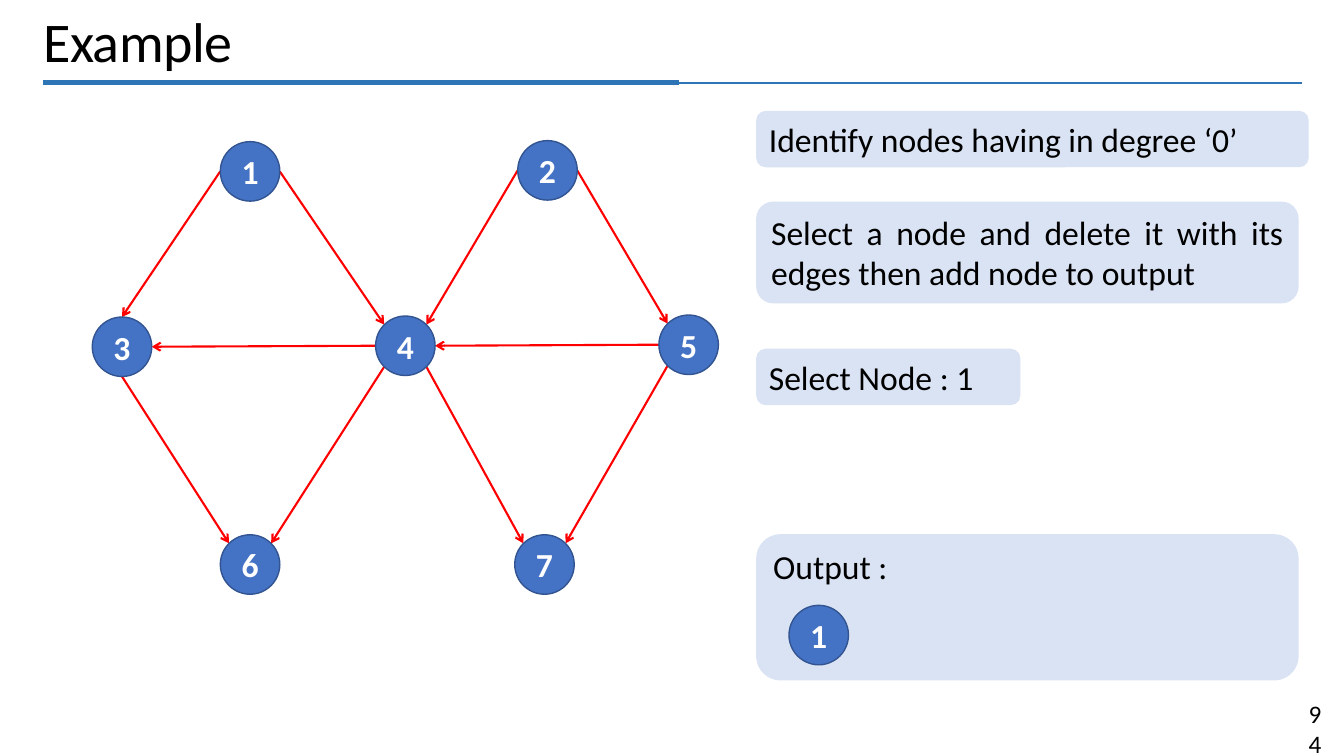
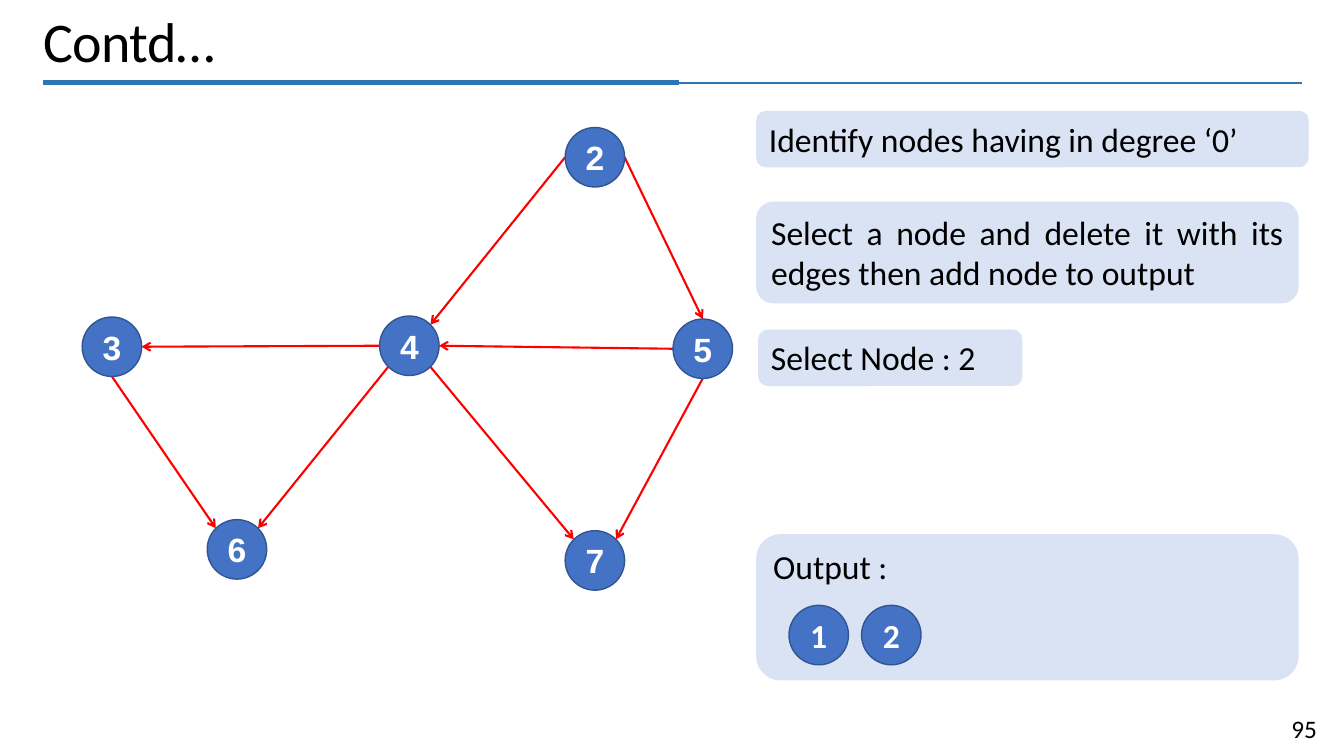
from dataclasses import dataclass

from lxml import etree
from pptx import Presentation
from pptx.dml.color import RGBColor
from pptx.enum.shapes import MSO_CONNECTOR, MSO_SHAPE
from pptx.enum.text import MSO_ANCHOR, PP_ALIGN
from pptx.oxml.ns import qn
from pptx.util import Inches, Pt

STRAIGHT = MSO_CONNECTOR.STRAIGHT
DISC, PANEL = MSO_SHAPE.OVAL, MSO_SHAPE.ROUNDED_RECTANGLE
TOP, MIDDLE = MSO_ANCHOR.TOP, MSO_ANCHOR.MIDDLE
LEFT, CENTER, RIGHT, JUSTIFY = (PP_ALIGN.LEFT, PP_ALIGN.CENTER,
                                PP_ALIGN.RIGHT, PP_ALIGN.JUSTIFY)


@dataclass(frozen=True)
class Theme:
    ink: RGBColor = RGBColor(0, 0, 0)
    paper: RGBColor = RGBColor(255, 255, 255)
    rule: RGBColor = RGBColor.from_string("2E75B6")
    node: RGBColor = RGBColor.from_string("4472C4")
    node_edge: RGBColor = RGBColor.from_string("325491")
    arrow: RGBColor = RGBColor.from_string("FF0000")
    panel: RGBColor = RGBColor.from_string("DAE3F3")
    title_size: Pt = Pt(40)
    body_size: Pt = Pt(24)
    number_size: Pt = Pt(18)
    font: str = "Calibri"
    graph_font: str = "Arial"


theme = Theme()

deck = Presentation()
deck.slide_width, deck.slide_height = Inches(13.33), Inches(7.5)
CELL = deck.slide_height / 75  # square grid: 75 rows, 133.3 columns

RADIUS = 2.95
DIAGONAL = 0.71
SITES = {  # where an arrow meets a node, in radii from its centre
    "T": (0, -1), "B": (0, 1), "L": (-1, 0), "R": (1, 0),
    "TL": (-DIAGONAL, -DIAGONAL), "TR": (DIAGONAL, -DIAGONAL),
    "BL": (-DIAGONAL, DIAGONAL), "BR": (DIAGONAL, DIAGONAL),
}

TITLE = {
    "frame": {"word_wrap": True, "vertical_anchor": TOP},
    "paragraph": {"alignment": LEFT, "line_spacing": 0.85},
    "font": {"size": theme.title_size, "name": theme.font}, "color": theme.ink,
}
NUMBER = {
    "frame": {"word_wrap": True, "vertical_anchor": MIDDLE},
    "paragraph": {"alignment": RIGHT},
    "font": {"size": theme.number_size, "name": theme.font}, "color": theme.ink,
}
STEP = {
    "frame": {"word_wrap": True, "vertical_anchor": TOP},
    "paragraph": {"alignment": JUSTIFY},
    "font": {"size": theme.body_size, "name": theme.font}, "color": theme.ink,
    "fill": theme.panel,
}
NODE = {
    "frame": {"word_wrap": False, "vertical_anchor": MIDDLE},
    "paragraph": {"alignment": CENTER},
    "font": {"size": theme.body_size, "name": theme.font, "bold": True},
    "color": theme.paper, "fill": theme.node, "edge": theme.node_edge,
}
GRAPH_NODE = NODE | {"font": NODE["font"] | {"name": theme.graph_font}}


def add_label(slide, outline, box, text, look):
    """Add text in a box of grid cells; without an outline it is a plain text box."""
    left, top, width, height = (round(cells * CELL) for cells in box)
    if outline is None:
        label = slide.shapes.add_textbox(left, top, width, height)
    else:
        label = slide.shapes.add_shape(outline, left, top, width, height)
        label.shadow.inherit = False
        label.fill.solid()
        label.fill.fore_color.rgb = look["fill"]
        if "edge" in look:
            label.line.color.rgb = look["edge"]
            label.line.width = Pt(1)
        else:
            label.line.fill.background()
    frame = label.text_frame
    paragraph = frame.paragraphs[0]
    run = paragraph.add_run()
    run.text = text
    for target, part in ((frame, "frame"), (paragraph, "paragraph"), (run.font, "font")):
        for name, value in look[part].items():
            setattr(target, name, value)
    run.font.color.rgb = look["color"]
    return run


def add_line(slide, start, end, color, weight, arrow=False):
    ends = (round(cells * CELL) for cells in (*start, *end))
    line = slide.shapes.add_connector(STRAIGHT, *ends)
    line.line.color.rgb = color
    line.line.width = Pt(weight)
    if arrow:
        etree.SubElement(line.line._get_or_add_ln(), qn("a:tailEnd"), type="arrow")
    etree.SubElement(line._element.spPr, qn("a:effectLst"))


# Each edge reads: from node, its site, to node, its site.
SHARED_EDGES = ["2 L 4 TR", "3 B 6 TL", "4 BL 6 TR", "4 BR 7 TL", "4 L 3 R", "5 L 4 R"]
PAGES = [
    {
        "title": "Example", "number": "94", "number_width": 2.8, "look": NODE,
        "nodes": {"1": (24.8, 17), "2": (54.3, 16.9), "3": (12.1, 34.4),
                  "4": (40.2, 34.3), "5": (68.3, 34.2), "6": (24.8, 56),
                  "7": (54, 56)},
        "edges": ["1 L 3 T", "1 R 4 TL", "2 R 5 TL", "5 BL 7 TR"],
        "selected": "1", "selected_at": (75, 34.6), "output": "1",
    },
    {
        "title": "Contd…", "number": "95", "number_width": 5.9, "look": GRAPH_NODE,
        "nodes": {"2": (59, 15.6), "3": (11.1, 34.4), "4": (40.6, 34.3),
                  "5": (69.7, 34.6), "6": (23.5, 54.5), "7": (59, 55.6)},
        "edges": ["2 R 5 T", "5 B 7 TR"],
        "selected": "2", "selected_at": (75.2, 32.7), "output": "12",
    },
]

for page in PAGES:
    slide = deck.slides.add_slide(deck.slide_layouts[6])

    number_left = 131.6 - page["number_width"]
    add_label(slide, None, (number_left, 70.3, page["number_width"], 4),
              page["number"], NUMBER)
    for start, end, weight in ((4.3, 67.3, 4), (66.1, 129.1, 1.5)):
        add_line(slide, (start, 8.2), (end, 8.2), theme.rule, weight)
    title = add_label(slide, None, (3.3, 1.2, 125.6, 6.9), page["title"], TITLE)
    title._r.get_or_add_rPr().set("spc", "-30")

    nodes = page["nodes"]
    discs = [(name, x, y, page["look"]) for name, (x, y) in nodes.items()]
    for edge in SHARED_EDGES + page["edges"]:
        source, source_site, target, target_site = edge.split()
        start, end = (
            [centre + RADIUS * shift for centre, shift in zip(nodes[node], SITES[site])]
            for node, site in ((source, source_site), (target, target_site))
        )
        add_line(slide, start, end, theme.arrow, 1.5, arrow=True)

    steps = [
        ((75, 11, 54.8, 5.6), "Identify nodes having in degree ‘0’"),
        ((75, 20, 53.8, 10.1),
         "Select a node and delete it with its edges then add node to output"),
        ((*page["selected_at"], 26.2, 5.6), f"Select Node : {page['selected']}"),
        ((75, 53, 53.8, 14.5), "Output :"),
    ]
    for box, text in steps:
        add_label(slide, PANEL, box, text, STEP)

    discs += [(name, 81.2 + 7.2 * place, 63, NODE)
              for place, name in enumerate(page["output"])]
    for name, x, y, look in discs:
        box = (x - RADIUS, y - RADIUS, 2 * RADIUS, 2 * RADIUS)
        add_label(slide, DISC, box, name, look)

deck.save("out.pptx")
